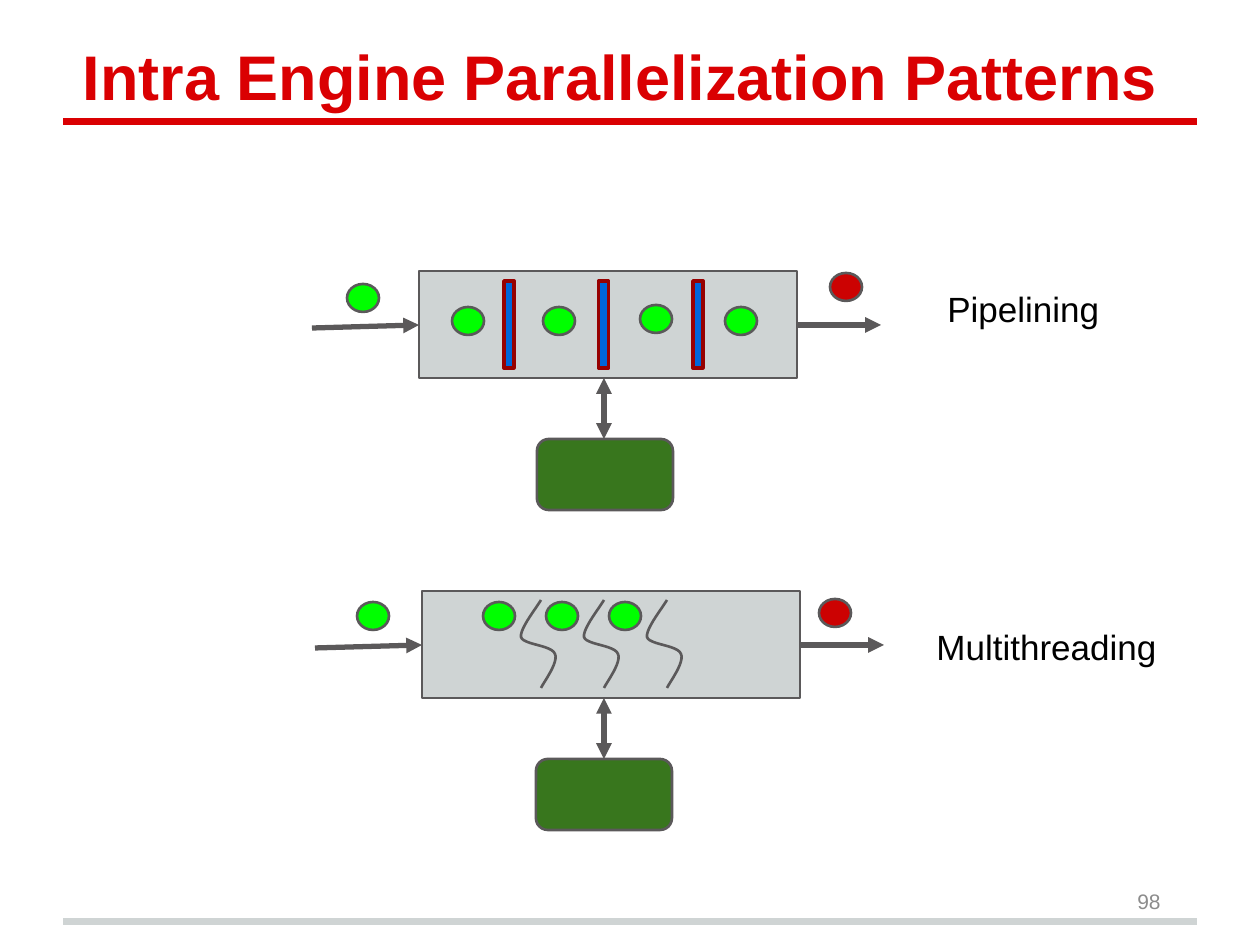
import pptx
import pptx.util
import pptx.dml.color
import pptx.enum.shapes
import pptx.enum.text
import pptx.oxml.ns
from lxml import etree

SHAPE = pptx.enum.shapes.MSO_SHAPE
ANCHOR = pptx.enum.text.MSO_ANCHOR
ALIGN = pptx.enum.text.PP_ALIGN
GREY, SILVER, RED = "5B595A", "CFD4D4", "DA0002"
GREEN, DARK_RED = "00FF00", "CC0202"


def px(n):
    return round(n * 914400 / 126)


def color(value):
    return pptx.dml.color.RGBColor.from_string(value)


def add_sub(parent, tag, **attrs):
    return etree.SubElement(parent, pptx.oxml.ns.qn(tag), **attrs)


def add_box(s, kind, x, y, w, h, fill, line=GREY, width=1.5):
    sp = s.shapes.add_shape(kind, px(x), px(y), px(w), px(h))
    sp.shadow.inherit = False
    sp.fill.solid()
    sp.fill.fore_color.rgb = color(fill)
    sp.line.color.rgb = color(line)
    sp.line.width = pptx.util.Pt(width)
    return sp


def add_line(s, x1, y1, x2, y2, line=GREY, width=3, ends=()):
    cn = s.shapes.add_connector(pptx.enum.shapes.MSO_CONNECTOR.STRAIGHT,
                                px(x1), px(y1), px(x2), px(y2))
    cn.line.color.rgb = color(line)
    cn.line.width = pptx.util.Pt(width)
    ln = cn.line._get_or_add_ln()
    for end in ends:
        add_sub(ln, end, type="triangle")
    add_sub(cn._element.spPr, "a:effectLst")


def add_text(s, x, y, w, h, text, size, fill="000000", bold=False,
             anchor=ANCHOR.TOP, align=ALIGN.LEFT, indent=0):
    tf = s.shapes.add_textbox(px(x), px(y), px(w), px(h)).text_frame
    tf.word_wrap = True
    tf.vertical_anchor = anchor
    p = tf.paragraphs[0]
    p.alignment = align
    if indent:
        p._p.get_or_add_pPr().set("indent", str(px(indent)))
    r = p.add_run()
    r.text = text
    r.font.name = "Arial"
    r.font.size = pptx.util.Pt(size)
    r.font.bold = bold
    r.font.color.rgb = color(fill)
    return tf


def add_packet(s, x, y, fill=GREEN):
    add_box(s, SHAPE.OVAL, x, y, 32, 28, fill)


def bezier(points, t):
    weights = ((1 - t) ** 3, 3 * t * (1 - t) ** 2, 3 * t * t * (1 - t), t ** 3)
    return tuple(sum(w * q[axis] for w, q in zip(weights, points)) for axis in (0, 1))


def add_thread(s, x, y):
    knots = [(0, 0), (-3, 6), (-21, 28), (-20, 37), (-18, 45), (11, 45),
             (14, 54), (18, 62), (3, 82), (0, 88)]
    steps = 12
    points = [bezier(knots[i:i + 4], n / steps)
              for i in (0, 3, 6) for n in range(1, steps + 1)]
    fb = s.shapes.build_freeform(px(x), px(y))
    fb.add_line_segments([(px(x + dx), px(y + dy)) for dx, dy in points], close=False)
    sp = fb.convert_to_shape()
    sp.shadow.inherit = False
    sp.fill.background()
    sp.line.color.rgb = color(GREY)
    sp.line.width = pptx.util.Pt(1.5)


def add_engine(s, x, y, memory_x):
    middle = y + 54
    add_box(s, SHAPE.RECTANGLE, x, y, 378, 107, SILVER)
    add_line(s, x - 107, middle + 3, x, middle, ends=["a:tailEnd"])
    add_line(s, x + 378, middle, x + 462, middle, ends=["a:tailEnd"])
    add_box(s, SHAPE.ROUNDED_RECTANGLE, memory_x, y + 168, 136, 71, "38761D")
    add_line(s, 604, y + 107, 604, y + 168, ends=["a:headEnd", "a:tailEnd"])


def add_pipelining(s):
    add_engine(s, 419, 271, 537)
    for i in range(3):
        add_box(s, SHAPE.RECTANGLE, 504 + 94.5 * i, 281, 10, 87, "0066D9", "970101", 2)
    for x, y in [(347, 284), (452, 307), (543, 307), (640, 305), (725, 307)]:
        add_packet(s, x, y)
    add_packet(s, 830, 273, DARK_RED)
    add_text(s, 935, 281, 242, 55, "Pipelining", 20)


def add_multithreading(s):
    add_engine(s, 422, 591, 536)
    add_packet(s, 357, 602)
    for i in range(3):
        add_thread(s, 541 + 63 * i, 600)
        add_packet(s, 483 + 63 * i, 602)
    add_packet(s, 819, 599, DARK_RED)
    add_text(s, 924, 619, 283, 55, "Multithreading", 20)


def main():
    prs = pptx.Presentation()
    prs.slide_width, prs.slide_height = px(1260), px(945)
    s = prs.slides.add_slide(prs.slide_layouts[6])
    add_line(s, 63, 922, 1197, 922, SILVER, 4)
    add_line(s, 63, 122, 1197, 122, RED, 4)
    tf = add_text(s, 39, 63, 1134, 63, "Intra Engine Parallelization Patterns", 36,
                  RED, True, ANCHOR.BOTTOM, indent=31.5)
    tf.margin_top = tf.margin_bottom = pptx.util.Inches(0.1)
    add_pipelining(s)
    add_multithreading(s)
    add_text(s, 890, 876, 283, 50, "98", 12, "8C8C8C",
             anchor=ANCHOR.MIDDLE, align=ALIGN.RIGHT)
    prs.save("out.pptx")


if __name__ == "__main__":
    main()
